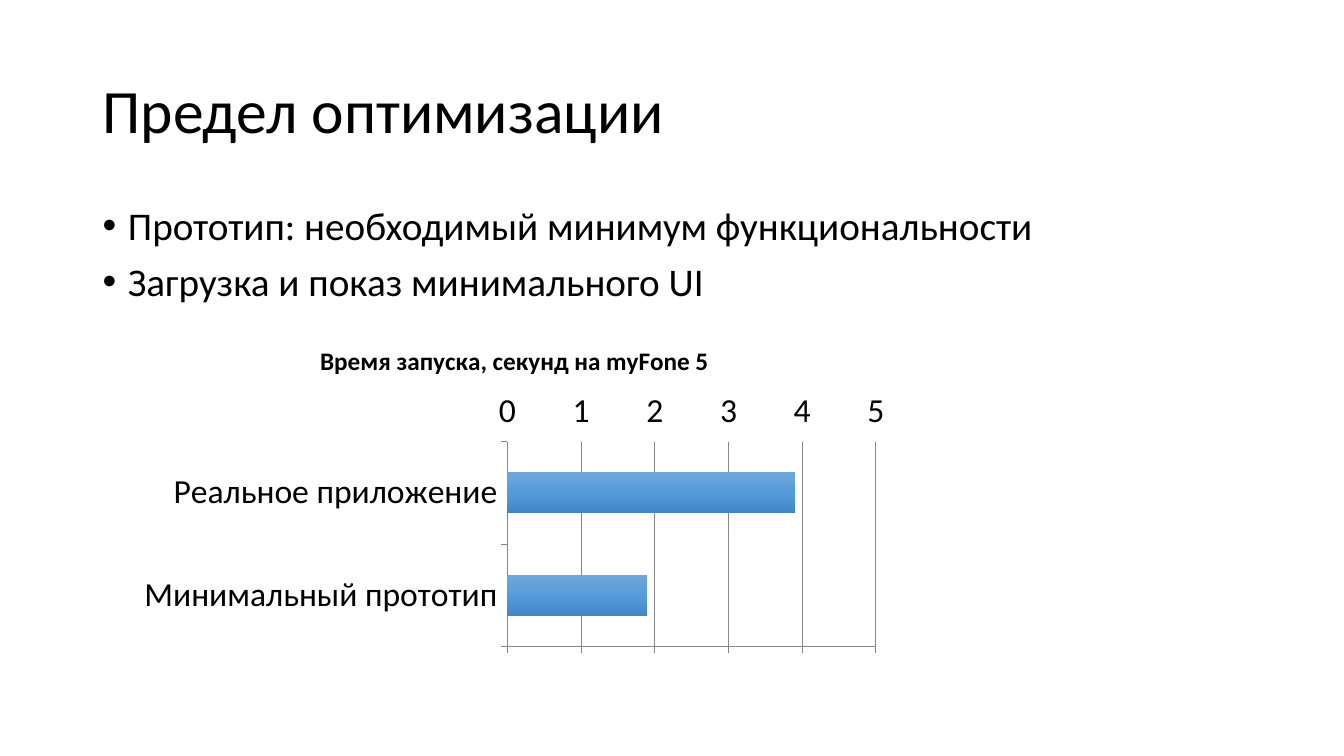
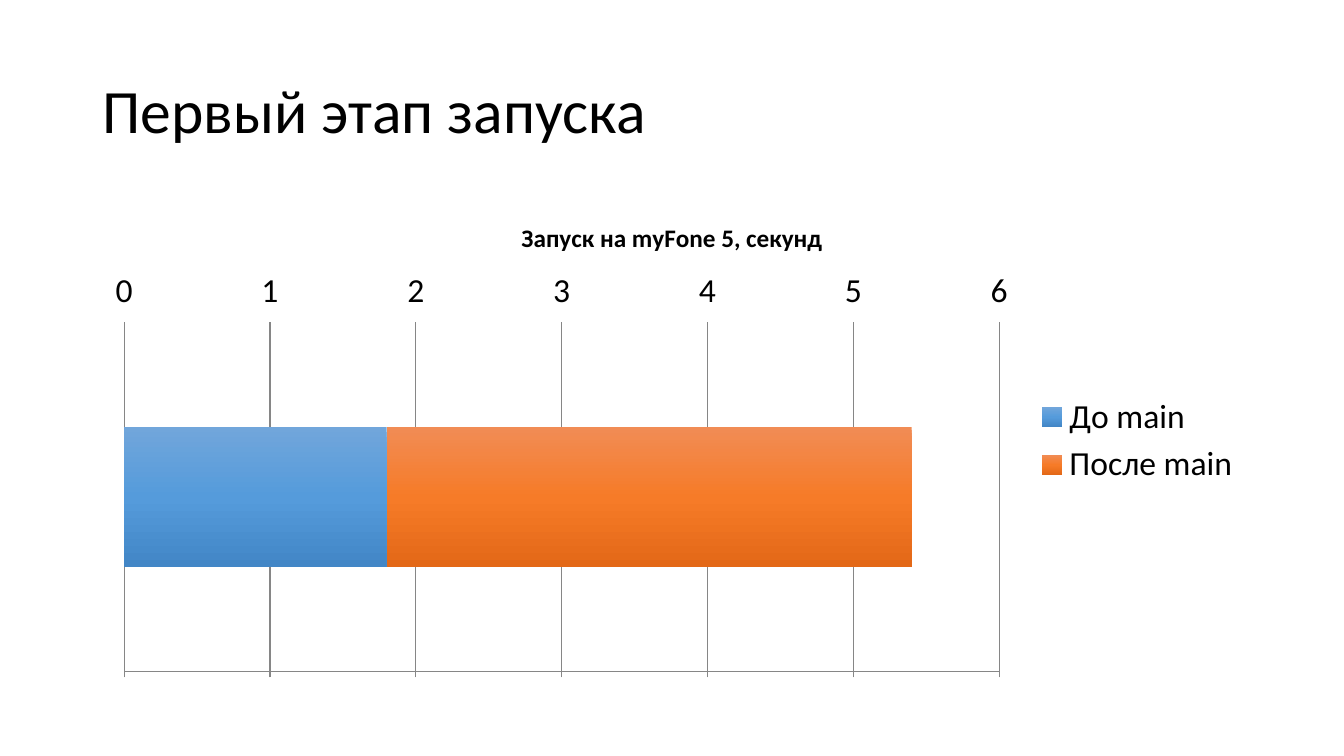
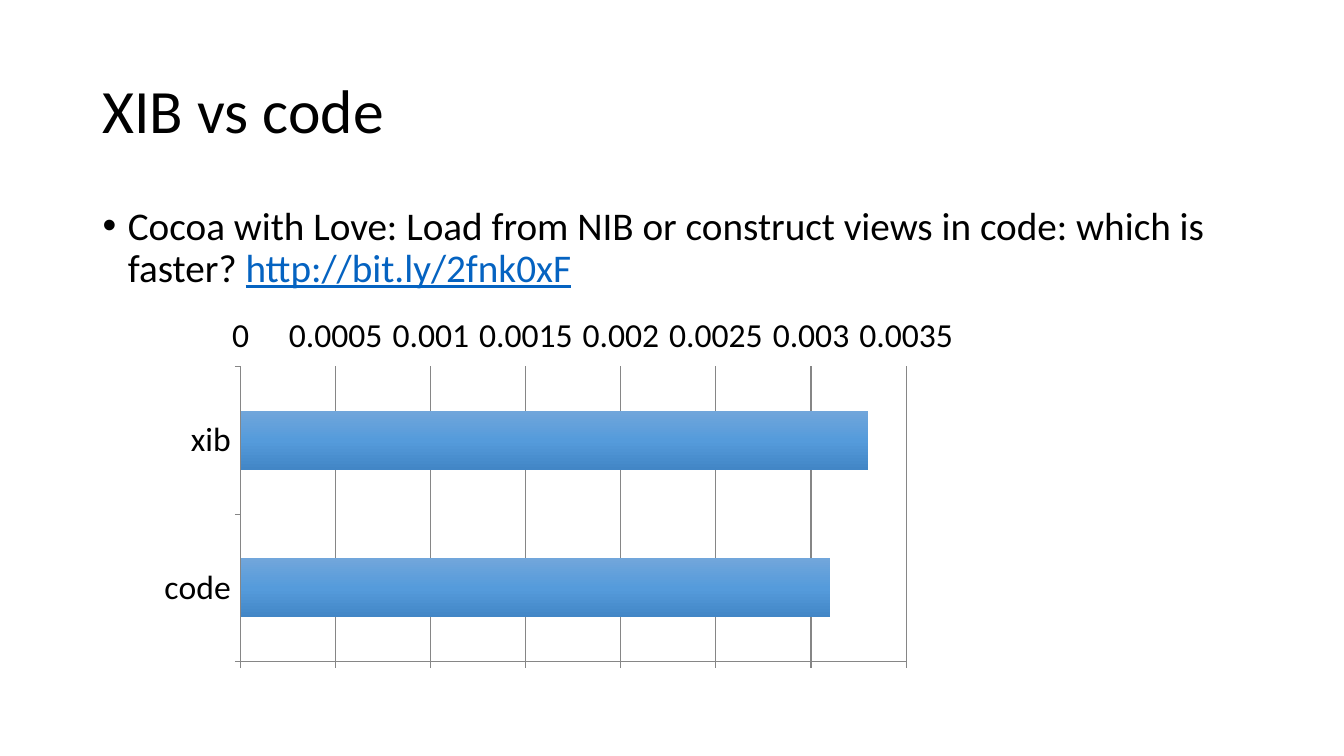
import copy

import pptx
import pptx.chart.data
import pptx.dml.color
import pptx.enum.chart
import pptx.enum.text
import pptx.util

Cm = pptx.util.Cm
Pt = pptx.util.Pt

FONT = "Calibri"
BLACK = "000000"
LINK = "0563C1"
GRID = "868686"
# Top, middle and bottom of the bar gradient of each series
BLUE = ("71A6DB", "559BDB", "4286C6")
ORANGE = ("F18C55", "F67B28", "E36817")

CLUSTERED = pptx.enum.chart.XL_CHART_TYPE.BAR_CLUSTERED
STACKED = pptx.enum.chart.XL_CHART_TYPE.BAR_STACKED

LEFT, WIDTH = 2.33, 29.21
TITLE_BOX = (LEFT, 1.01, WIDTH, 3.68)
BODY_BOX = (LEFT, 5.07, WIDTH, 12.09)


def rgb(color):
    return pptx.dml.color.RGBColor.from_string(color)


def format_font(font, size, color=BLACK, bold=False, underline=False):
    font.name = FONT
    font.size = Pt(size)
    font.bold = bold
    font.underline = underline
    font.color.rgb = rgb(color)


def add_text(para, text, **style):
    span = para.add_run()
    span.text = text
    format_font(span.font, **style)


def fill_gradient(series, colors):
    """Fill the bars of a series from top to bottom with three colours."""
    fill = series.format.fill
    fill.gradient()
    fill.gradient_angle = 270
    stop_list = series._element.xpath(".//a:gsLst")[0]
    stop_list.append(copy.deepcopy(stop_list[0]))
    for index, (stop, color) in enumerate(zip(fill.gradient_stops, colors)):
        stop.color.rgb = rgb(color)
        stop.position = index / 2


def format_axis(axis):
    axis.major_tick_mark = pptx.enum.chart.XL_TICK_MARK.OUTSIDE
    axis.minor_tick_mark = pptx.enum.chart.XL_TICK_MARK.NONE
    axis.format.line.color.rgb = rgb(GRID)
    axis.format.line.width = Pt(0.75)
    format_font(axis.tick_labels.font, size=24)


class ChartDeck:
    def __init__(self):
        self.deck = pptx.Presentation()
        self.deck.slide_width = Cm(33.87)
        self.deck.slide_height = Cm(19.05)
        self.page = None

    def add_page(self, title, with_body=True):
        layout = self.deck.slide_layouts[1 if with_body else 5]
        self.page = self.deck.slides.add_slide(layout)
        frame = self.place(self.page.shapes.title, TITLE_BOX)
        frame.vertical_anchor = pptx.enum.text.MSO_ANCHOR.MIDDLE
        para = frame.paragraphs[0]
        para.alignment = pptx.enum.text.PP_ALIGN.LEFT
        para.line_spacing = 0.9
        add_text(para, title, size=44)

    def place(self, box, bounds):
        box.left, box.top, box.width, box.height = map(Cm, bounds)
        frame = box.text_frame
        frame.word_wrap = True
        frame.auto_size = pptx.enum.text.MSO_AUTO_SIZE.NONE
        return frame

    def add_bullets(self, items):
        """Fill the body; each item is a list of (text, format) spans."""
        frame = self.place(self.page.placeholders[1], BODY_BOX)
        for index, spans in enumerate(items):
            para = frame.add_paragraph() if index else frame.paragraphs[0]
            properties = para._p.get_or_add_pPr()
            properties.set("marL", str(Cm(0.64)))
            properties.set("indent", str(-Cm(0.64)))
            para.line_spacing = 0.9
            para.space_before = Pt(10 if index else 0)
            for text, style in spans:
                add_text(para, text, size=28, **style)

    def add_bar_chart(self, kind, bounds, categories, series, top, step,
                      title=None):
        """Draw bars; series holds (name, values, colours) for each one."""
        data = pptx.chart.data.CategoryChartData()
        data.categories = categories
        for name, values, _ in series:
            data.add_series(name, values)
        chart = self.page.shapes.add_chart(kind, *map(Cm, bounds), data).chart
        format_font(chart.font, size=10)
        chart.has_title = title is not None
        if title:
            para = chart.chart_title.text_frame.paragraphs[0]
            add_text(para, title, size=18, bold=True)
            chart.chart_title.include_in_layout = False

        stacked = kind == STACKED
        chart.has_legend = stacked
        if stacked:
            chart.legend.position = pptx.enum.chart.XL_LEGEND_POSITION.RIGHT
            chart.legend.include_in_layout = False
            format_font(chart.legend.font, size=24)

        plot = chart.plots[0]
        plot.gap_width = 150
        plot.vary_by_categories = False
        for bars, (_, _, colors) in zip(plot.series, series):
            bars.invert_if_negative = False
            fill_gradient(bars, colors)

        format_axis(chart.category_axis)
        chart.category_axis.visible = not stacked
        scale = chart.value_axis
        format_axis(scale)
        scale.tick_label_position = pptx.enum.chart.XL_TICK_LABEL_POSITION.HIGH
        scale.tick_labels.number_format = "General"
        scale.tick_labels.number_format_is_linked = False
        scale.minimum_scale, scale.maximum_scale = 0, top
        scale.major_unit = step
        scale.has_major_gridlines = True
        scale.major_gridlines.format.line.color.rgb = rgb(GRID)
        scale.major_gridlines.format.line.width = Pt(0.75)


def main():
    show = ChartDeck()

    show.add_page("Предел оптимизации")
    show.add_bullets([
        [("Прототип: необходимый минимум функциональности", {})],
        [("Загрузка и показ минимального UI", {})],
    ])
    show.add_bar_chart(
        CLUSTERED, (3.25, 8.23, 19.43, 8.23),
        ["Минимальный прототип", "Реальное приложение"],
        [("Series 1", [1.9, 3.9], BLUE)], top=5, step=1,
        title="Время запуска, секунд на myFone 5")

    show.add_page("Первый этап запуска", with_body=False)
    show.add_bar_chart(
        STACKED, BODY_BOX, ["1"],
        [("До main", [1.8], BLUE), ("После main", [3.6], ORANGE)],
        top=6, step=1, title="Запуск на myFone 5, секунд")

    show.add_page("XIB vs code")
    show.add_bullets([[
        ("Cocoa with Love: Load from NIB or construct views in code: "
         "which is faster? ", {}),
        ("http://bit.ly/2fnk0xF", {"color": LINK, "underline": True}),
    ]])
    show.add_bar_chart(
        CLUSTERED, (3.73, 7.77, 20.7, 9.09), ["code", "xib"],
        [("Series 1", [0.0031, 0.0033], BLUE)], top=0.0035, step=0.0005)

    show.deck.save("out.pptx")


if __name__ == "__main__":
    main()
